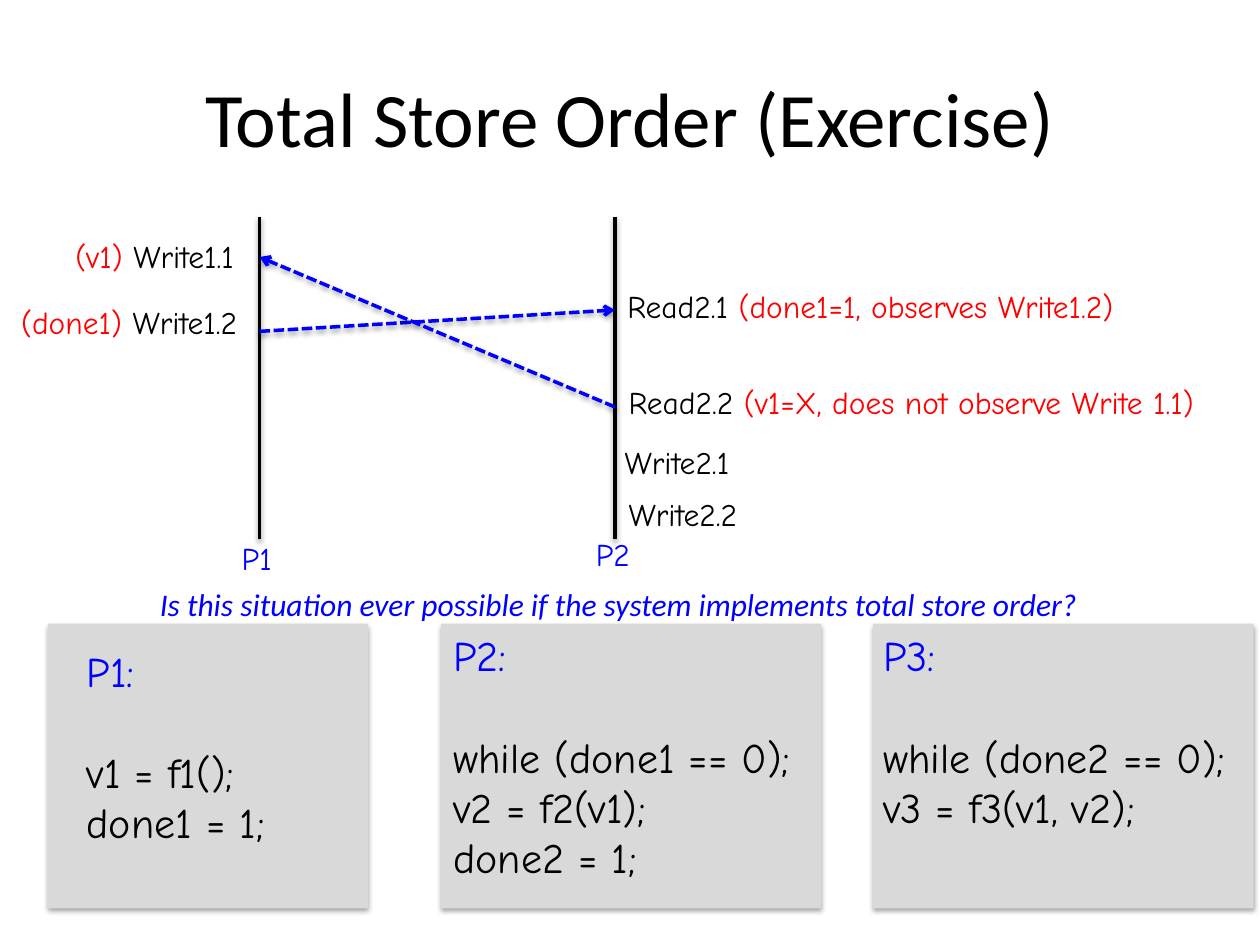
"""Build the total store order exercise slide."""
from dataclasses import dataclass
from typing import Any, NamedTuple

from lxml.etree import SubElement
from pptx import Presentation
from pptx.dml.color import RGBColor
from pptx.enum.dml import MSO_LINE
from pptx.enum.shapes import MSO_CONNECTOR, MSO_SHAPE
from pptx.enum.text import MSO_ANCHOR, MSO_AUTO_SIZE, PP_ALIGN
from pptx.oxml.ns import qn
from pptx.util import Pt

BLACK = RGBColor(0x00, 0x00, 0x00)
BLUE = RGBColor(0x00, 0x00, 0xFF)
RED = RGBColor(0xFF, 0x00, 0x00)
GREY = RGBColor(0xD9, 0xD9, 0xD9)
HAND = "Comic Neue"
SANS = "Calibri"
EMU_PER_PX = 9144
P1_X, P2_X = 206, 488
AXIS_TOP, AXIS_BOTTOM = 172, 428
PANEL_TOP, PANEL_HEIGHT = 495, 226
LABEL_HEIGHT = 40
CODE_GAP = Pt(29)


class Span(NamedTuple):
    """A run of text in one colour."""
    text: str
    color: RGBColor = BLACK


class Box(NamedTuple):
    """A rectangle in px."""
    left: int
    top: int
    width: int
    height: int


@dataclass(frozen=True)
class Event:
    """A memory operation beside a processor's time line."""
    left: int
    top: int
    width: int
    spans: tuple[Span, ...]


@dataclass(frozen=True)
class Program:
    """A processor's code and the panel behind it."""
    name: str
    panel_left: int
    panel_width: int
    code_box: Box
    code: tuple[str, ...]


@dataclass(frozen=True)
class Line:
    """A time line or an observation arrow."""
    start: tuple[int, int]
    end: tuple[int, int]
    color: RGBColor = BLACK
    observes: bool = False


TIME_LINES = [Line((x, AXIS_TOP), (x, AXIS_BOTTOM)) for x in (P1_X, P2_X)]
OBSERVATIONS = [
    Line((P1_X, 263), (P2_X, 246), BLUE, True),
    Line((P2_X, 323), (P1_X, 204), BLUE, True),
]
PROCESSORS = [("P1", Box(182, 423, 49, LABEL_HEIGHT)),
              ("P2", Box(463, 420, 49, LABEL_HEIGHT))]
EVENTS = [
    Event(438, 223, 548, (Span("Read2.1 "), Span("(done1=1, observes Write1.2)", RED))),
    Event(439, 299, 570, (Span("Read2.2 "), Span("(v1=X, does not observe Write 1.1)", RED))),
    Event(436, 347, 500, (Span("Write2.1"),)),
    Event(439, 388, 500, (Span("Write2.2"),)),
    Event(0, 183, 500, (Span("(v1)", RED), Span(" Write1.1"))),
    Event(-43, 236, 500, (Span("(done1)", RED), Span(" Write1.2"))),
]
PROGRAMS = [
    Program("P1:", 38, 254, Box(9, 507, 320, 172), ("v1 = f1();", "done1 = 1;")),
    Program("P2:", 350, 302, Box(300, 495, 373, 212),
            ("while (done1 == 0);", "v2 = f2(v1);", "done2 = 1;")),
    Program("P3:", 693, 302, Box(641, 495, 359, 172),
            ("while (done2 == 0);", "v3 = f3(v1, v2);")),
]


def px(length: int) -> int:
    """Turn px into EMU."""
    return length * EMU_PER_PX


def add_shadow(item: Any, opacity: int, distance: float) -> None:
    """Give a shape or connector a soft shadow falling straight down."""
    effects = SubElement(item.element.spPr, qn("a:effectLst"))
    shadow = SubElement(effects, qn("a:outerShdw"), blurRad=str(Pt(3.1)),
                        dist=str(Pt(distance)), dir="5400000", rotWithShape="0")
    color = SubElement(shadow, qn("a:srgbClr"), val=str(BLACK))
    SubElement(color, qn("a:alpha"), val=str(opacity * 1000))


def add_line(slide: Any, line: Line) -> None:
    """Draw a time line, or a dashed arrow for an observation."""
    connector = slide.shapes.add_connector(
        MSO_CONNECTOR.STRAIGHT, *map(px, line.start + line.end))
    connector.line.color.rgb = line.color
    connector.line.width = Pt(2)
    if line.observes:
        connector.line.dash_style = MSO_LINE.SQUARE_DOT
        SubElement(connector.element.spPr.find(qn("a:ln")), qn("a:tailEnd"), type="arrow")
    add_shadow(connector, 38, 1.6)


def add_span(paragraph: Any, span: Span, size: int, font: str = HAND,
             italic: bool = False) -> None:
    """Add one formatted run."""
    run = paragraph.add_run()
    run.text = span.text
    run.font.name = font
    run.font.size = Pt(size)
    run.font.color.rgb = span.color
    if italic:
        run.font.italic = True


def add_frame(slide: Any, box: Box, wrap: bool) -> Any:
    """Add a text box that grows with its text and return its frame."""
    frame = slide.shapes.add_textbox(*map(px, box)).text_frame
    frame.word_wrap = wrap
    frame.auto_size = MSO_AUTO_SIZE.SHAPE_TO_FIT_TEXT
    return frame


def indent(paragraph: Any) -> Any:
    """Set a paragraph justified on the second level."""
    paragraph.level = 1
    paragraph.alignment = PP_ALIGN.JUSTIFY
    return paragraph


def add_event(slide: Any, event: Event) -> None:
    """Write a memory operation."""
    frame = add_frame(slide, Box(event.left, event.top, event.width, LABEL_HEIGHT), True)
    paragraph = indent(frame.paragraphs[0])
    for span in event.spans:
        add_span(paragraph, span, 18)


def add_panel(slide: Any, program: Program) -> None:
    """Draw the grey panel behind a program."""
    panel = slide.shapes.add_shape(MSO_SHAPE.RECTANGLE, *map(
        px, (program.panel_left, PANEL_TOP, program.panel_width, PANEL_HEIGHT)))
    panel.fill.solid()
    panel.fill.fore_color.rgb = GREY
    panel.line.fill.background()
    add_shadow(panel, 35, 1.8)


def add_code(slide: Any, program: Program) -> None:
    """Write a program's name and its code."""
    frame = add_frame(slide, program.code_box, True)
    add_span(indent(frame.paragraphs[0]), Span(program.name, BLUE), 24)
    for number, statement in enumerate(program.code):
        paragraph = indent(frame.add_paragraph())
        if number == 0:
            paragraph.space_before = CODE_GAP
        add_span(paragraph, Span(statement), 24)


def main() -> None:
    """Build and save the slide."""
    deck = Presentation()
    deck.slide_width, deck.slide_height = px(1000), px(750)
    slide = deck.slides.add_slide(deck.slide_layouts[5])

    title = slide.shapes.title
    title.left, title.top, title.width, title.height = map(px, Box(50, 30, 900, 125))
    title.text_frame.vertical_anchor = MSO_ANCHOR.MIDDLE
    heading = title.text_frame.paragraphs[0]
    heading.alignment = PP_ALIGN.CENTER
    add_span(heading, Span("Total Store Order (Exercise)"), 44, SANS)

    for time_line in TIME_LINES:
        add_line(slide, time_line)
    for name, box in PROCESSORS:
        add_span(add_frame(slide, box, False).paragraphs[0], Span(name, BLUE), 18)
    for event in EVENTS:
        add_event(slide, event)
    for program in PROGRAMS:
        add_panel(slide, program)
        add_code(slide, program)
    question = add_frame(slide, Box(117, 459, 764, LABEL_HEIGHT), False).paragraphs[0]
    add_span(question, Span("Is this situation ever possible if the system implements "
                            "total store order?", BLUE), 18, SANS, True)
    for observation in OBSERVATIONS:
        add_line(slide, observation)
    deck.save("out.pptx")


if __name__ == "__main__":
    main()
